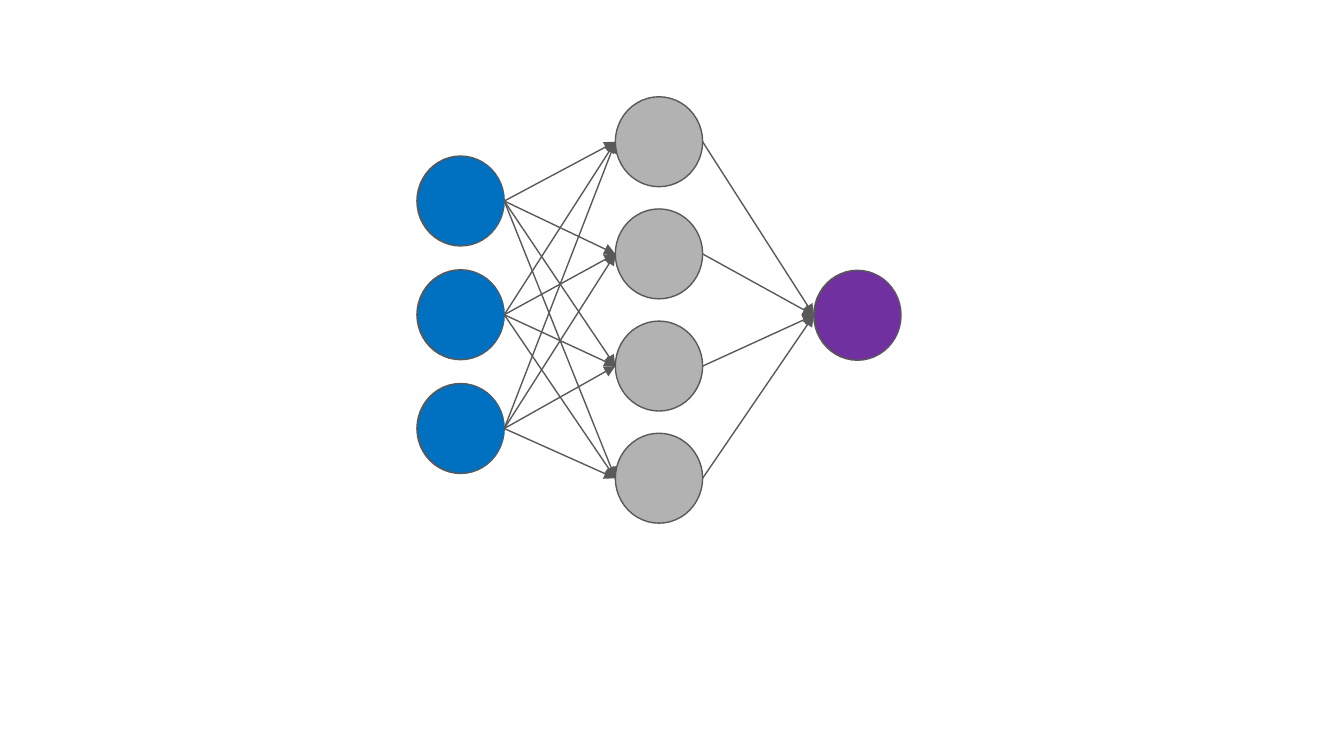
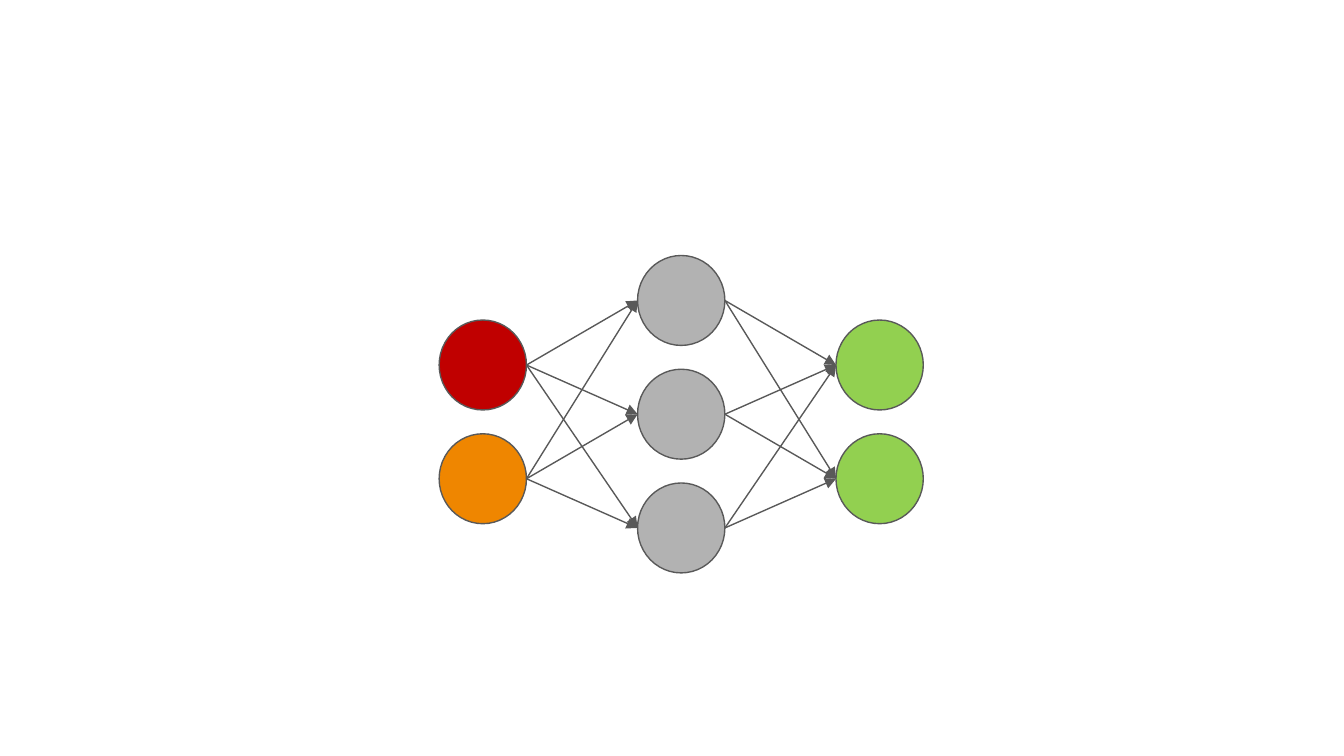
import itertools

import pptx
import pptx.dml.color
import pptx.enum.shapes
import pptx.oxml.ns
import pptx.util
from lxml import etree
from pptx.util import Cm

NODE_W, NODE_H = Cm(1.65), Cm(1.7)
LAYER_STEP = 3.75  # cm between the left edges of neighbouring layers
NODE_STEP = 2.15  # cm between the tops of neighbouring nodes
OUTLINE = "595959"
BLUE, GREY, PURPLE = "0070C0", "B2B2B2", "7030A0"
RED, ORANGE, GREEN = "C00000", "EF8600", "92D050"

# Each network: left edge in cm, then its layers as (top, node step, node colours).
NETWORKS = [
    (7.88, [(2.95, NODE_STEP, [BLUE] * 3),
            (1.83, 2.12, [GREY] * 4),
            (5.11, NODE_STEP, [PURPLE])]),
    (8.3, [(6.05, NODE_STEP, [RED, ORANGE]),
           (4.83, NODE_STEP, [GREY] * 3),
           (6.05, NODE_STEP, [GREEN] * 2)]),
]


def rgb(value):
    return pptx.dml.color.RGBColor.from_string(value)


def set_outline(line):
    line.color.rgb = rgb(OUTLINE)
    line.width = pptx.util.Pt(0.75)


def add_node(slide, left, top, color):
    sp = slide.shapes.add_shape(
        pptx.enum.shapes.MSO_SHAPE.OVAL, Cm(left), Cm(top), NODE_W, NODE_H)
    sp.shadow.inherit = False
    sp.fill.solid()
    sp.fill.fore_color.rgb = rgb(color)
    set_outline(sp.line)
    return sp


def add_arrow(slide, source, target):
    """Join the right side of source to the left side of target."""
    cxn = slide.shapes.add_connector(
        pptx.enum.shapes.MSO_CONNECTOR.STRAIGHT,
        source.left + source.width, source.top + source.height // 2,
        target.left, target.top + target.height // 2)
    set_outline(cxn.line)
    qn = pptx.oxml.ns.qn
    sp_pr = cxn._element.spPr
    etree.SubElement(sp_pr.find(qn("a:ln")), qn("a:tailEnd"), type="triangle")
    etree.SubElement(sp_pr, qn("a:effectLst"))


def add_network(slide, left, layers):
    """Draw the layers of nodes and connect each one fully to the next."""
    columns = [
        [add_node(slide, left + i * LAYER_STEP, top + j * step, color)
         for j, color in enumerate(colors)]
        for i, (top, step, colors) in enumerate(layers)
    ]
    for sources, targets in zip(columns, columns[1:]):
        for source, target in itertools.product(sources, targets):
            add_arrow(slide, source, target)


def main():
    prs = pptx.Presentation()
    prs.slide_width, prs.slide_height = Cm(25.4), Cm(14.29)
    blank = prs.slide_layouts[6]
    for left, layers in NETWORKS:
        add_network(prs.slides.add_slide(blank), left, layers)
    prs.save("out.pptx")


if __name__ == "__main__":
    main()
